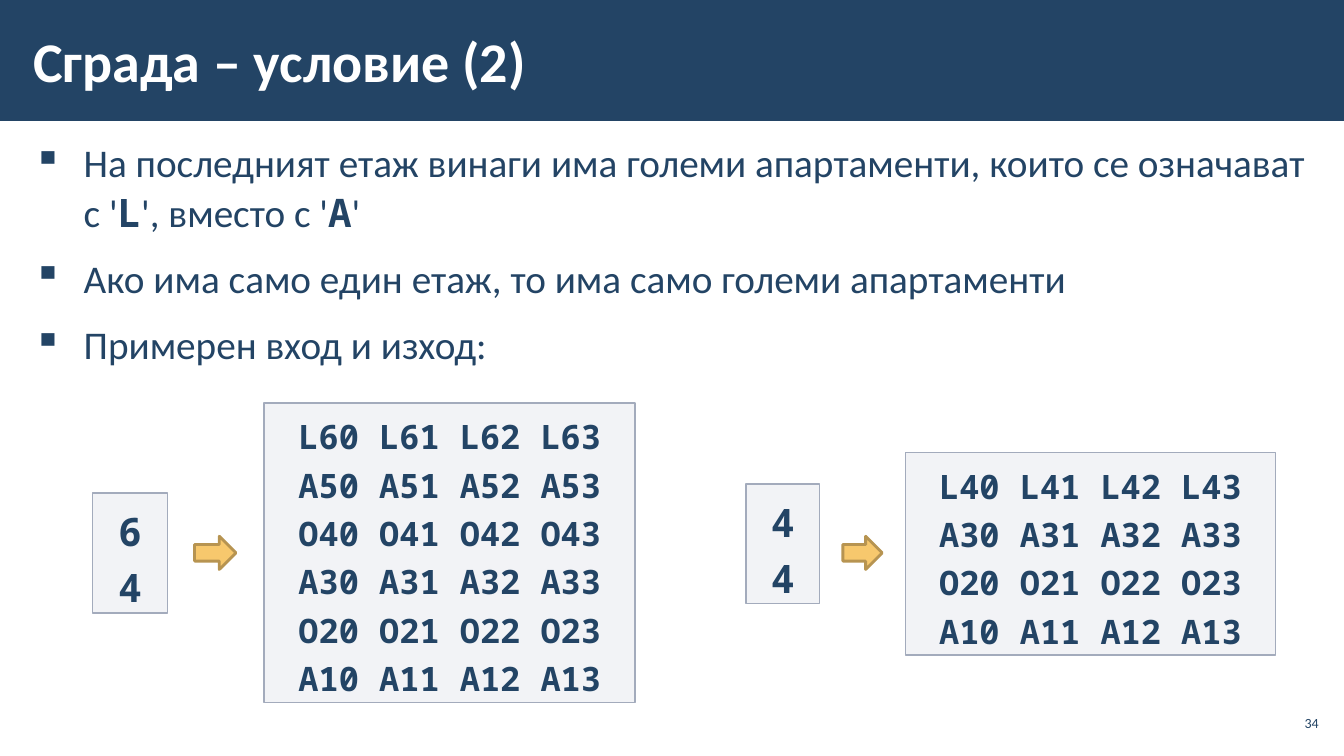
from lxml.etree import SubElement
from pptx import Presentation
from pptx.dml.color import RGBColor
from pptx.enum.shapes import MSO_SHAPE as Shape
from pptx.enum.text import MSO_ANCHOR as Anchor, PP_ALIGN as Align
from pptx.oxml.ns import qn
from pptx.util import Pt

PX = 9144  # EMU, 100 px to the inch
NAVY, WHITE = "234465", "FFFFFF"
SANS, MONO = "Calibri", "Noto Sans Mono"

BULLETS = [
    ["На последният етаж винаги има големи апартаменти, които се означават с '",
     "L", "', вместо с '", "А", "'"],
    ["Ако има само един етаж, то има само големи апартаменти"],
    ["Примерен вход и изход:"],
]


def px(*vals):
    return [val * PX for val in vals]


def color(code):
    return RGBColor.from_string(code)


def style(font, size, name=SANS, code=NAVY, bold=False):
    font.size, font.name, font.bold = Pt(size), name, bold
    font.color.rgb = color(code)


def add_block(slide, kind, box, fill, line=None, width=1):
    block = slide.shapes.add_shape(kind, *px(*box))
    block.shadow.inherit = False
    block.fill.solid()
    block.fill.fore_color.rgb = color(fill)
    if line:
        block.line.color.rgb = color(line)
        block.line.width = Pt(width)
    else:
        block.line.fill.background()
    return block


def add_frame(slide, box, pad, anchor=Anchor.TOP):
    """Add a wrapping text box with side and top padding; return its frame."""
    frame = slide.shapes.add_textbox(*px(*box)).text_frame
    frame.word_wrap = True
    frame.vertical_anchor = anchor
    side, top = px(*pad)
    frame.margin_left = frame.margin_right = side
    frame.margin_top = frame.margin_bottom = top
    return frame


def add_label(slide, box, pad, text, size, code=NAVY, bold=False, align=Align.LEFT):
    para = add_frame(slide, box, pad, Anchor.MIDDLE).paragraphs[0]
    para.text, para.alignment = text, align
    style(para.font, size, code=code, bold=bold)


def set_bullet(para, indent):
    props = para._p.get_or_add_pPr()
    props.set("marL", str(indent * PX))
    props.set("indent", str(-indent * PX))
    SubElement(props, qn("a:buChar"), char="▪")


def add_list(slide, box, items):
    frame = add_frame(slide, box, (12, 4))
    for i, parts in enumerate(items):
        para = frame.add_paragraph() if i else frame.paragraphs[0]
        para.line_spacing = 1.05
        para.space_before = para.space_after = Pt(6)
        set_bullet(para, 50)
        for j, part in enumerate(parts):
            run = para.add_run()
            run.text = part
            code = j % 2 == 1  # plain text and code letters alternate
            style(run.font, 28, MONO if code else SANS, bold=code)


def add_code(slide, box, rows, size):
    block = add_block(slide, Shape.RECTANGLE, box, "C2C7D2", "A3ABBC")
    tint = block.fill._xPr.find(".//" + qn("a:srgbClr"))
    SubElement(tint, qn("a:alpha"), val="20000")
    frame = block.text_frame
    frame.word_wrap = True
    frame.vertical_anchor = Anchor.TOP
    frame.text = "\n".join(rows)
    for para in frame.paragraphs:
        para.alignment, para.line_spacing = Align.CENTER, 1.2
        style(para.font, size, MONO, bold=True)


def name_flats(floors, flats):
    """Return a row of flat names for each floor, from the top one down."""
    rows = []
    for floor in range(floors, 0, -1):
        kind = "L" if floor == floors else "OA"[floor % 2]
        rows.append(" ".join(f"{kind}{floor}{flat}" for flat in range(flats)))
    return rows


def add_sample(slide, floors, flats, source, arrow, result):
    add_code(slide, source, [str(floors), str(flats)], 28)
    add_block(slide, Shape.RIGHT_ARROW, arrow, "F7C86D", "B79451", 2)
    add_code(slide, result, name_flats(floors, flats), 24)


def main():
    deck = Presentation()
    deck.slide_width, deck.slide_height = px(1333, 750)
    slide = deck.slides.add_slide(deck.slide_layouts[6])

    add_block(slide, Shape.RECTANGLE, (0, 0, 1333, 120), NAVY)
    add_list(slide, (21, 131, 1292, 569), BULLETS)
    add_label(slide, (21, 11, 1039, 97), (12, 4), "Сграда – условие (2)", 40, WHITE, True)
    add_label(slide, (1265, 700, 47, 34), (4, 4), "34", 10, align=Align.RIGHT)
    add_sample(slide, 6, 4, (92, 489, 74, 119), (193, 532, 41, 33), (262, 400, 368, 297))
    add_sample(slide, 4, 4, (740, 480, 73, 119), (836, 532, 39, 33), (898, 449, 367, 201))

    deck.save("out.pptx")


if __name__ == "__main__":
    main()
